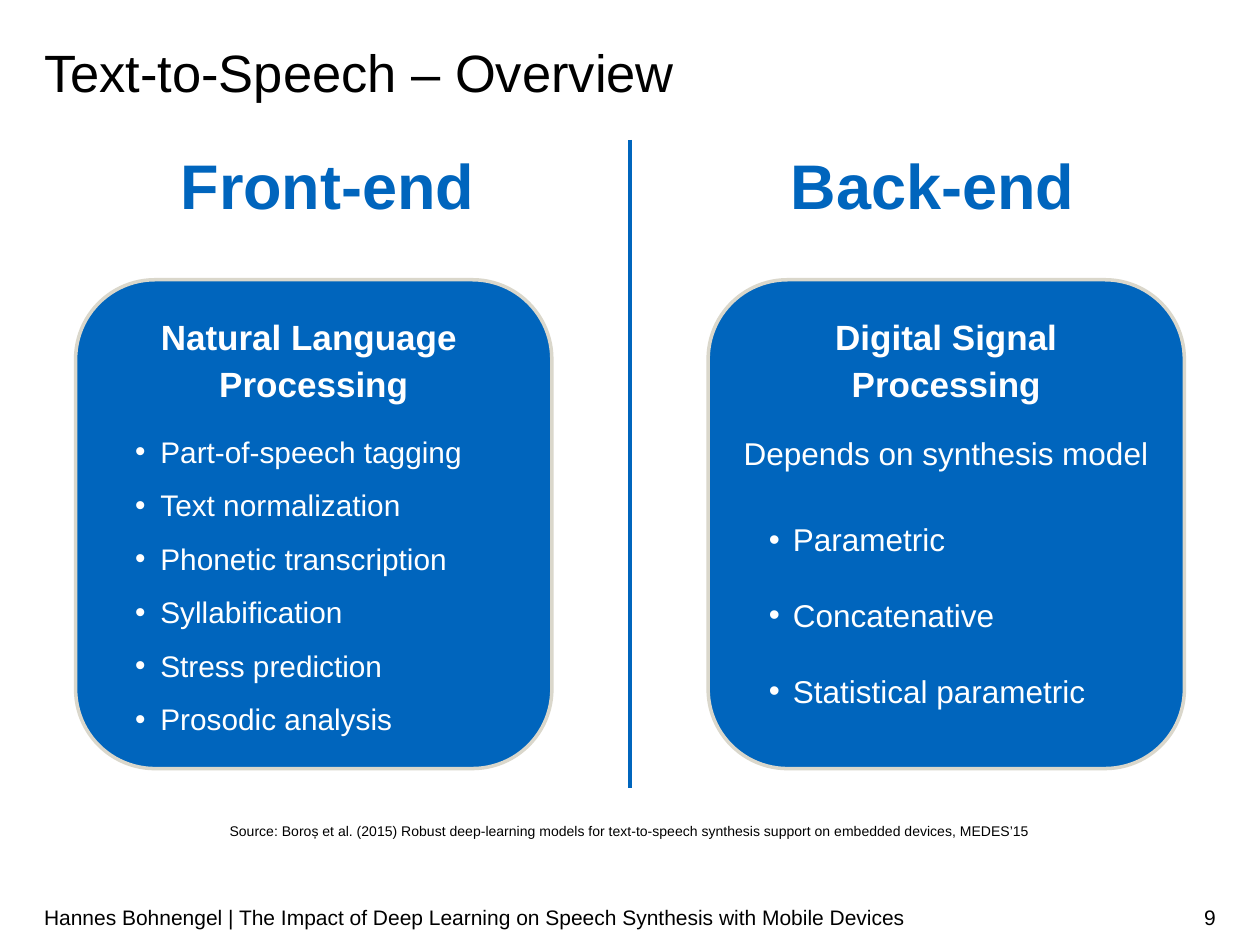
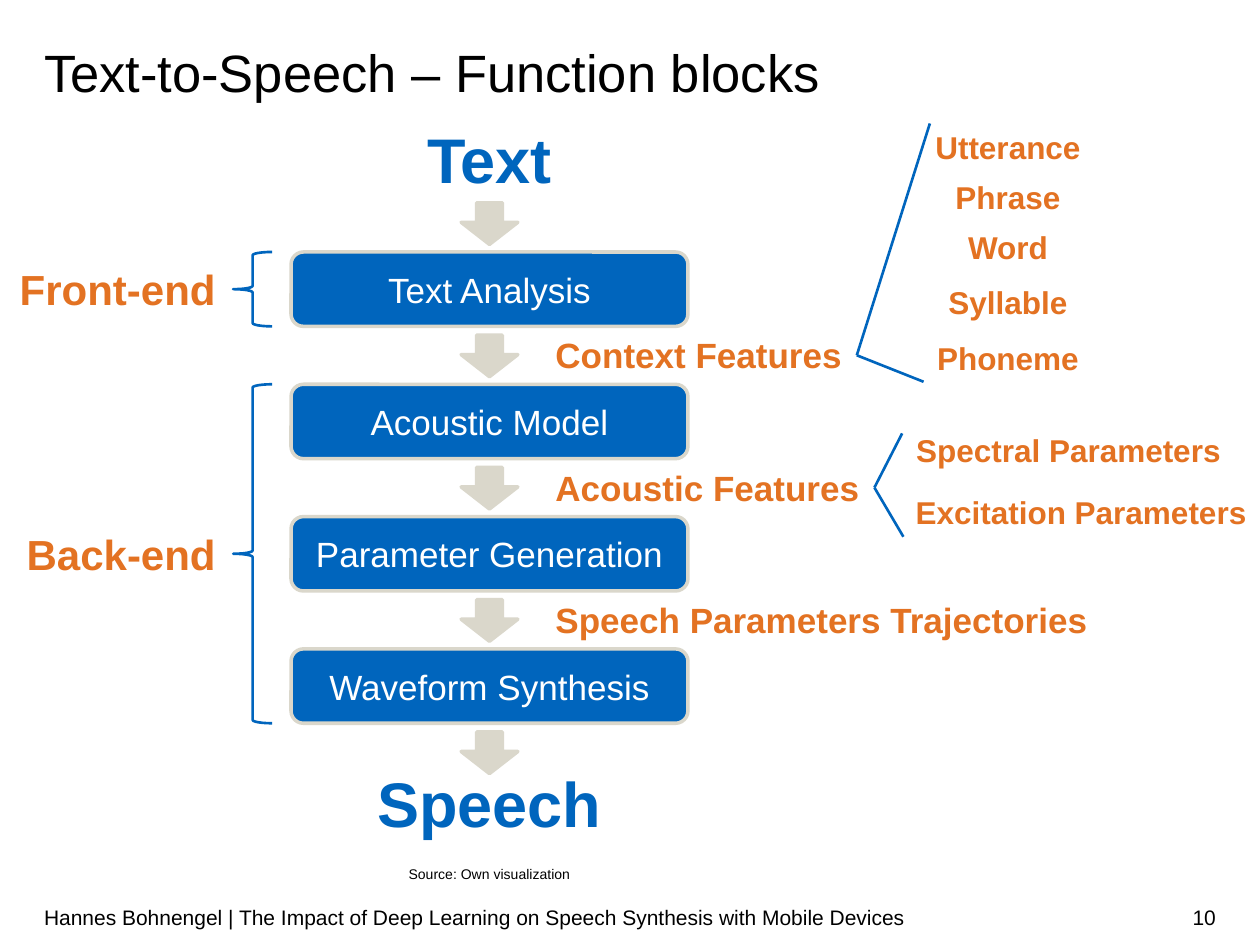
from dataclasses import dataclass
from lxml import etree
from pptx import Presentation
from pptx.dml.color import RGBColor
from pptx.enum.shapes import MSO_CONNECTOR, MSO_SHAPE
from pptx.enum.text import MSO_ANCHOR, MSO_AUTO_SIZE, PP_ALIGN
from pptx.oxml.ns import qn
from pptx.util import Inches, Pt

LEFT, CENTER, RIGHT = PP_ALIGN.LEFT, PP_ALIGN.CENTER, PP_ALIGN.RIGHT
TOP, MIDDLE = MSO_ANCHOR.TOP, MSO_ANCHOR.MIDDLE
ROUNDED, ARROW, BRACE = MSO_SHAPE.ROUNDED_RECTANGLE, MSO_SHAPE.DOWN_ARROW, MSO_SHAPE.LEFT_BRACE


@dataclass(frozen=True)
class Theme:
    font: str = "Arial"
    black: str = "000000"
    white: str = "FFFFFF"
    blue: str = "0065BD"
    sand: str = "DAD7CB"
    orange: str = "E37222"
    title: int = 30
    heading: int = 36
    side: int = 24
    block: int = 20
    detail: int = 18
    footer: int = 12
    source: int = 8
    border: float = 2
    thin: float = 1.5


T = Theme()
W, H = 10, 7.5
MARGIN = 0.35

FOOTER = "Hannes Bohnengel | The Impact of Deep Learning on Speech Synthesis with Mobile Devices"

OVERVIEW = {
    "title": "Text-to-Speech – Overview",
    "number": 9,
    "source": "Source: Boroș et al. (2015) Robust deep-learning models for text-to-speech "
              "synthesis support on embedded devices, MEDES’15",
    "cards": [
        {"heading": "Front-end", "name": ["Natural Language ", "Processing"], "intro": None,
         "items": ["Part-of-speech tagging", "Text normalization", "Phonetic transcription",
                   "Syllabification", "Stress prediction", "Prosodic analysis"],
         "size": 17, "spacing": 1.5, "hang": 0.2},
        {"heading": "Back-end", "name": ["Digital Signal", "Processing"],
         "intro": "Depends on synthesis model",
         "items": ["Parametric", "Concatenative", "Statistical parametric"],
         "size": 18, "spacing": 2, "hang": 0.19},
    ],
}

FUNCTIONS = {
    "title": "Text-to-Speech – Function blocks",
    "number": 10,
    "source": "Source: Own visualization",
    "input": "Text",
    "output": "Speech",
    "blocks": ["Text Analysis", "Acoustic Model", "Parameter Generation", "Waveform Synthesis"],
    "features": ["Context Features", "Acoustic Features", "Speech Parameters Trajectories"],
    # name, first block, last block
    "stages": [("Front-end", 0, 0), ("Back-end", 1, 3)],
    # (name, centre x, top) of each detail
    "details": [("Utterance", 8, 0.97), ("Phrase", 8, 1.36), ("Word", 8, 1.76),
                ("Syllable", 8, 2.2), ("Phoneme", 8, 2.64),
                ("Spectral Parameters", 8.48, 3.37), ("Excitation Parameters", 8.58, 3.86)],
    # apex and the two ends that open towards the details
    "fans": [((6.8, 2.82), [(7.38, 0.98), (7.33, 3.03)]),
             ((6.94, 3.87), [(7.16, 3.44), (7.17, 4.26)])],
}


def rgb(color):
    return RGBColor.from_string(color)


def box(x, y, w, h):
    return [Inches(v) for v in (x, y, w, h)]


def style(p, size, color=T.black, bold=False, align=LEFT):
    p.alignment = align
    for r in p.runs:
        r.font.name, r.font.size, r.font.bold = T.font, Pt(size), bold
        r.font.color.rgb = rgb(color)


def insets(tf, x, y):
    tf.margin_left = tf.margin_right = Inches(x)
    tf.margin_top = tf.margin_bottom = Inches(y)


def add_text(s, text, area, size, color=T.black, bold=False, align=LEFT,
             anchor=TOP, wrap=True, inset=(0.1, 0.05)):
    tf = s.shapes.add_textbox(*box(*area)).text_frame
    tf.word_wrap, tf.vertical_anchor = wrap, anchor
    insets(tf, *inset)
    tf.text = text
    style(tf.paragraphs[0], size, color, bold, align)
    return tf


def add_heading(s, text, center, y):
    add_text(s, text, (center - 1.3, y, 2.6, 0.71), T.heading, T.blue, True, CENTER, wrap=False)


def add_source(s, text, center, y, w):
    tf = add_text(s, text, (center - w / 2, y, w, 0.14), T.source, align=CENTER, inset=(0, 0))
    tf.paragraphs[0].line_spacing = 1.14


def add_shape(s, kind, area, fill, line, width):
    sp = s.shapes.add_shape(kind, *box(*area))
    sp.shadow.inherit = False
    if fill:
        sp.fill.solid()
        sp.fill.fore_color.rgb = rgb(fill)
    else:
        sp.fill.background()
    sp.line.color.rgb, sp.line.width = rgb(line), Pt(width)
    return sp


def add_line(s, start, end, width):
    ln = s.shapes.add_connector(MSO_CONNECTOR.STRAIGHT, *box(*start, *end))
    ln.line.color.rgb, ln.line.width = rgb(T.blue), Pt(width)
    etree.SubElement(ln._element.spPr, qn("a:effectLst"))


def add_bullet(p, left, hang):
    pPr = p._p.get_or_add_pPr()
    pPr.set("marL", str(Inches(left)))
    pPr.set("indent", str(-Inches(hang)))
    etree.SubElement(pPr, qn("a:buFont"), typeface=T.font)
    etree.SubElement(pPr, qn("a:buChar"), char="•")


def new_slide(prs, content):
    """Add a slide with the shared title, footer and page number."""
    s = prs.slides.add_slide(prs.slide_layouts[5])
    title = s.shapes.title
    title.left, title.top, title.width, title.height = box(MARGIN, 0.37, W - 2 * MARGIN, 0.45)
    tf = title.text_frame
    tf.text = content["title"]
    tf.auto_size, tf.vertical_anchor = MSO_AUTO_SIZE.NONE, TOP
    insets(tf, 0, 0)
    tf.paragraphs[0].line_spacing = Pt(32)
    style(tf.paragraphs[0], T.title)
    y, h = 7.08, 0.4
    for text, x, w, align in ((FOOTER, MARGIN, 6.96, LEFT),
                              (str(content["number"]), W - MARGIN - 0.86, 0.86, RIGHT)):
        add_text(s, text, (x, y, w, h), T.footer, align=align, anchor=MIDDLE, inset=(0, 0.05))
    return s


def fill_card(tf, card):
    tf.word_wrap, tf.vertical_anchor = True, TOP
    lines = card["name"] + ([card["intro"]] if card["intro"] else []) + card["items"]
    tf.text = "\n".join(lines)
    names = len(card["name"])
    for i, p in enumerate(tf.paragraphs):
        if i < names:
            p.line_spacing = 1.14
            style(p, T.block, T.white, True, CENTER)
            continue
        is_intro = lines[i] == card["intro"]
        p.line_spacing = 1.5 if is_intro else card["spacing"]
        if i == names:
            p.space_before = Pt(6)
        if is_intro:
            p.space_after = Pt(6)
        else:
            add_bullet(p, 0.39, card["hang"])
        style(p, card["size"], T.white)


def build_overview(prs):
    s = new_slide(prs, OVERVIEW)
    top, card_w, card_h, edge = 1.11, 3.78, 3.88, 0.6
    add_line(s, (W / 2, top), (W / 2, 6.25), 2.25)
    columns = ((edge, 2.6), (W - edge - card_w, W - 2.6))
    for card, (x, center) in zip(OVERVIEW["cards"], columns):
        add_heading(s, card["heading"], center, top)
        sp = add_shape(s, ROUNDED, (x, 2.22, card_w, card_h), T.blue, T.sand, T.border)
        fill_card(sp.text_frame, card)
    add_source(s, OVERVIEW["source"], W / 2, 6.51, 7.95)


def build_functions(prs):
    s = new_slide(prs, FUNCTIONS)
    x, top, w, h, pitch = 2.31, 2, 3.15, 0.59, 1.05
    center = x + w / 2
    arrow_w, arrow_h, arrow_rise = 0.45, 0.33, 0.39
    blocks = FUNCTIONS["blocks"]

    add_heading(s, FUNCTIONS["input"], center, 0.91)
    add_heading(s, FUNCTIONS["output"], center, 6.02)
    for i, name in enumerate(blocks):
        sp = add_shape(s, ROUNDED, (x, top + i * pitch, w, h), T.blue, T.sand, T.border)
        tf = sp.text_frame
        tf.text = name
        tf.paragraphs[0].space_after = Pt(6)
        style(tf.paragraphs[0], T.block, T.white, align=CENTER)
    for i in range(len(blocks) + 1):
        sp = add_shape(s, ARROW, (center - arrow_w / 2, top + i * pitch - arrow_rise,
                                  arrow_w, arrow_h), T.sand, T.sand, T.border)
        sp.adjustments[0], sp.adjustments[1] = 0.453, 0.531

    for name, first, last in FUNCTIONS["stages"]:
        y, span = top + first * pitch, (last - first) * pitch + h
        add_shape(s, BRACE, (1.85, y, 0.31, span), None, T.blue, T.thin)
        add_text(s, name, (0.04, y + span / 2 - 0.25, 1.77, 0.5), T.side, T.orange, True,
                 RIGHT, wrap=False)
    for i, name in enumerate(FUNCTIONS["features"]):
        add_text(s, name, (4.31, top + h + 0.01 + i * pitch, 4.69, 0.44), T.block, T.orange, True)
    for name, mid, y in FUNCTIONS["details"]:
        add_text(s, name, (mid - 1.42, y, 2.84, 0.4), T.detail, T.orange, True, CENTER,
                 MIDDLE, wrap=False)
    for apex, ends in FUNCTIONS["fans"]:
        for end in ends:
            add_line(s, apex, end, T.thin)
    add_source(s, FUNCTIONS["source"], center, 6.85, 1.43)


def main():
    prs = Presentation()
    prs.slide_width, prs.slide_height = Inches(W), Inches(H)
    build_overview(prs)
    build_functions(prs)
    prs.save("out.pptx")


if __name__ == "__main__":
    main()
